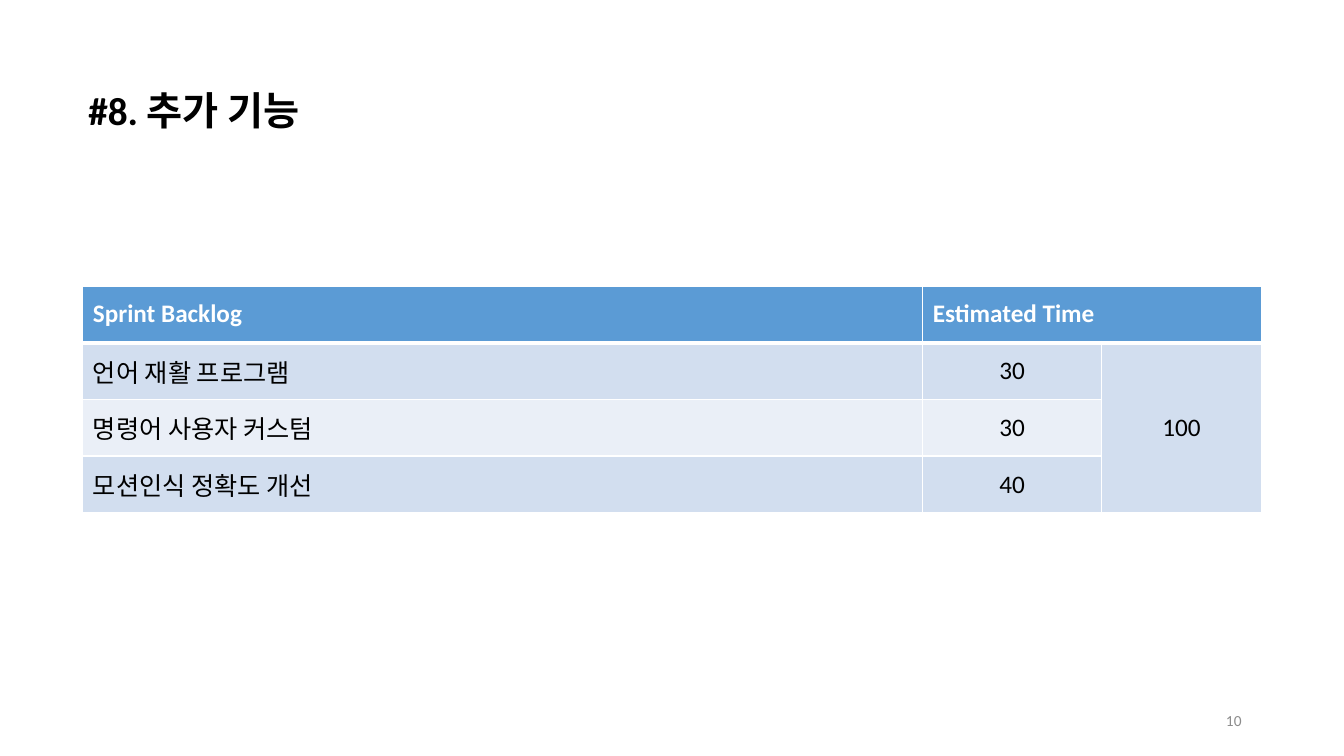
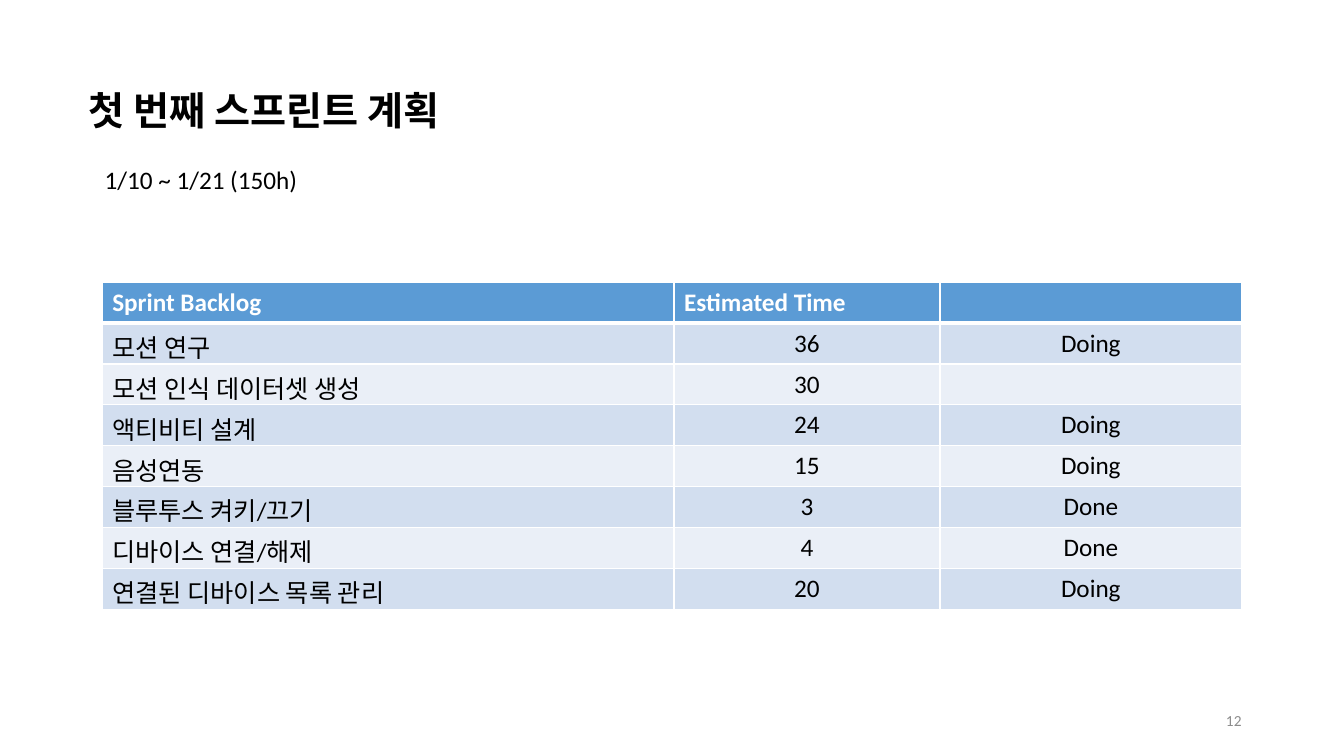
from lxml import etree
from pptx import Presentation
from pptx.dml.color import RGBColor
from pptx.enum.text import MSO_ANCHOR, PP_ALIGN
from pptx.oxml.ns import qn
from pptx.util import Pt

LEFT, CENTER, RIGHT = PP_ALIGN.LEFT, PP_ALIGN.CENTER, PP_ALIGN.RIGHT
TOP, MIDDLE = MSO_ANCHOR.TOP, MSO_ANCHOR.MIDDLE
FONT = "Calibri"
BLACK, WHITE, GREY = "000000", "FFFFFF", "8C8C8C"
HEADER_FILL = "5B9BD5"
BAND_FILLS = ("EAEFF7", "D2DEEF")
HEADINGS = ["Sprint Backlog", "Estimated Time", ""]

FEATURES = [
    HEADINGS,
    ["언어 재활 프로그램", "30", "100"],
    ["명령어 사용자 커스텀", "30", ""],
    ["모션인식 정확도 개선", "40", ""],
]
SPRINT = [
    HEADINGS,
    ["모션 연구", "36", "Doing"],
    ["모션 인식 데이터셋 생성", "30", ""],
    ["액티비티 설계", "24", "Doing"],
    ["음성연동", "15", "Doing"],
    ["블루투스 켜키/끄기", "3", "Done"],
    ["디바이스 연결/해제", "4", "Done"],
    ["연결된 디바이스 목록 관리", "20", "Doing"],
]


def color(value):
    """Turn a hex string into a colour."""
    return RGBColor.from_string(value)


def write(frame, text, size, ink=BLACK, bold=False, align=LEFT):
    """Put one styled paragraph into a text frame."""
    frame.text = text
    paragraph = frame.paragraphs[0]
    paragraph.alignment = align
    for run in paragraph.runs:
        run.font.name = FONT
        run.font.size = Pt(size)
        run.font.bold = bold
        run.font.color.rgb = color(ink)


def add_label(slide, box, text, size, anchor=TOP, **style):
    """Add a wrapped text box at left, top, width, height."""
    frame = slide.shapes.add_textbox(*map(Pt, box)).text_frame
    frame.word_wrap = True
    frame.vertical_anchor = anchor
    write(frame, text, size, **style)


def add_page(deck, title, number):
    """Add a blank slide with its title and page number."""
    slide = deck.slides.add_slide(deck.slide_layouts[6])
    add_label(slide, (56, 58.3, 368, 41), title, 28, bold=True)
    add_label(slide, (678, 500.4, 216, 28.8), str(number), 11, MIDDLE,
              ink=GREY, align=RIGHT)
    return slide


def set_borders(cell, **widths):
    """Draw white cell borders, one point wide unless a side says otherwise."""
    properties = cell._tc.get_or_add_tcPr()
    for side in "LRTB":
        line = etree.SubElement(properties, qn(f"a:ln{side}"),
                                w=str(Pt(widths.get(side, 1))))
        fill = etree.SubElement(line, qn("a:solidFill"))
        etree.SubElement(fill, qn("a:srgbClr"), val=WHITE)


def style_cell(cell, text, row, column, anchor):
    """Write and colour one cell by its place in the table."""
    cell.vertical_anchor = anchor
    if row == 0:
        write(cell.text_frame, text, 18, WHITE, bold=True)
        set_borders(cell, B=3)
    else:
        write(cell.text_frame, text, 18, align=CENTER if column else LEFT)
        set_borders(cell, T=3 if row == 1 else 1)
    cell.fill.solid()
    cell.fill.fore_color.rgb = color(BAND_FILLS[row % 2] if row else HEADER_FILL)


def add_backlog(slide, left, top, widths, height, entries, anchor=TOP, merges=()):
    """Add a banded backlog table with equal row heights."""
    table = slide.shapes.add_table(
        len(entries), len(widths), Pt(left), Pt(top),
        Pt(sum(widths)), Pt(height * len(entries))).table
    for column, width in zip(table.columns, widths):
        column.width = Pt(width)
    for r, entry in enumerate(entries):
        table.rows[r].height = Pt(height)
        for c, text in enumerate(entry):
            style_cell(table.cell(r, c), text, r, c, anchor)
    for first, last in merges:
        table.cell(*first).merge(table.cell(*last))


def main():
    """Build and save both backlog slides."""
    deck = Presentation()
    deck.slide_width, deck.slide_height = Pt(960), Pt(540)

    features = add_page(deck, "#8. 추가 기능", 10)
    add_backlog(features, 59.2, 204.3, (600, 127.5, 114.5), 40.5, FEATURES,
                MIDDLE, [((0, 1), (0, 2)), ((1, 2), (3, 2))])

    sprint = add_page(deck, "첫 번째 스프린트 계획", 12)
    add_label(sprint, (67.7, 113.8, 238, 29), "1/10 ~ 1/21 (150h)", 18)
    add_backlog(sprint, 73, 201.6, (408.5, 190, 215.5), 29.2, SPRINT)

    deck.save("out.pptx")


if __name__ == "__main__":
    main()
